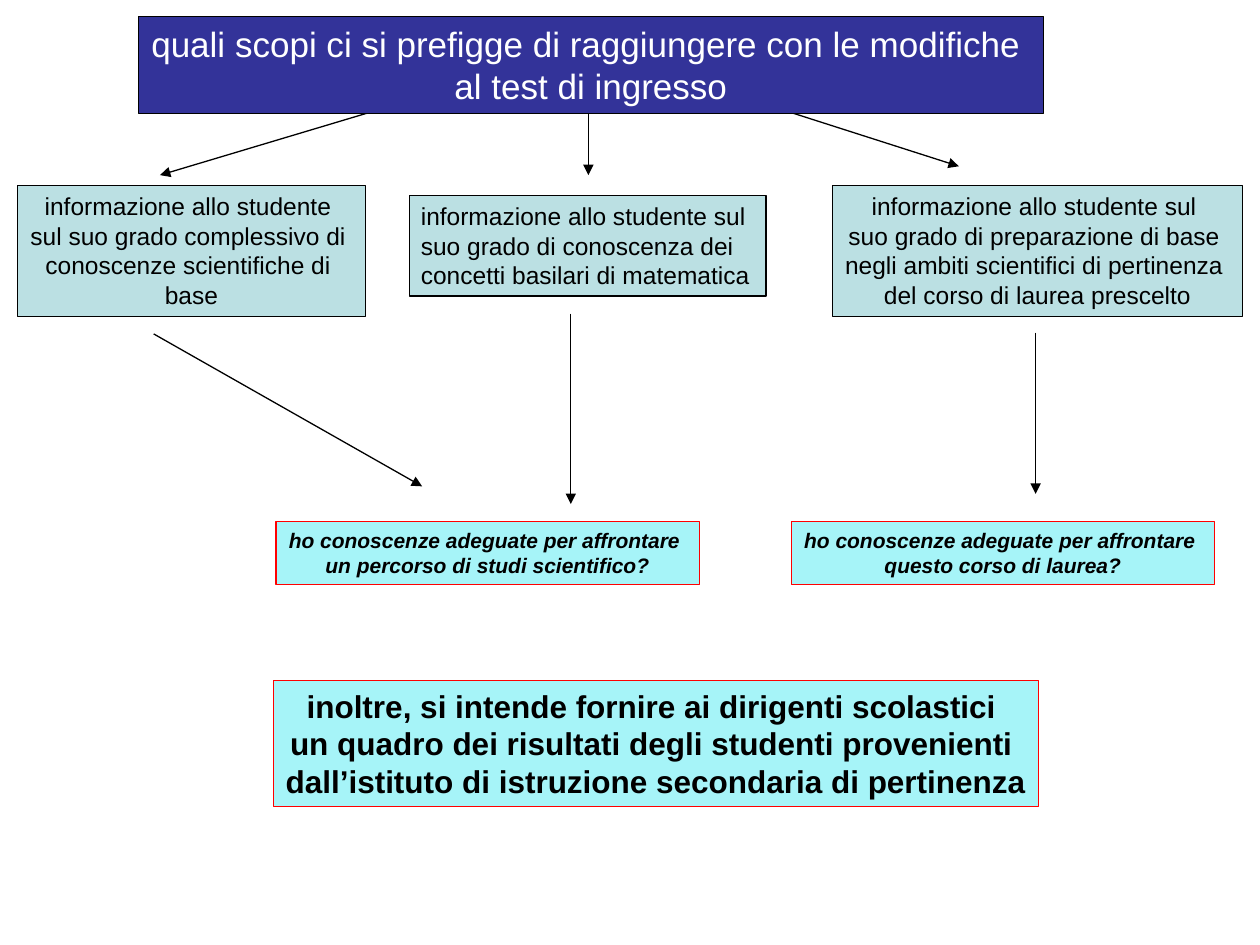
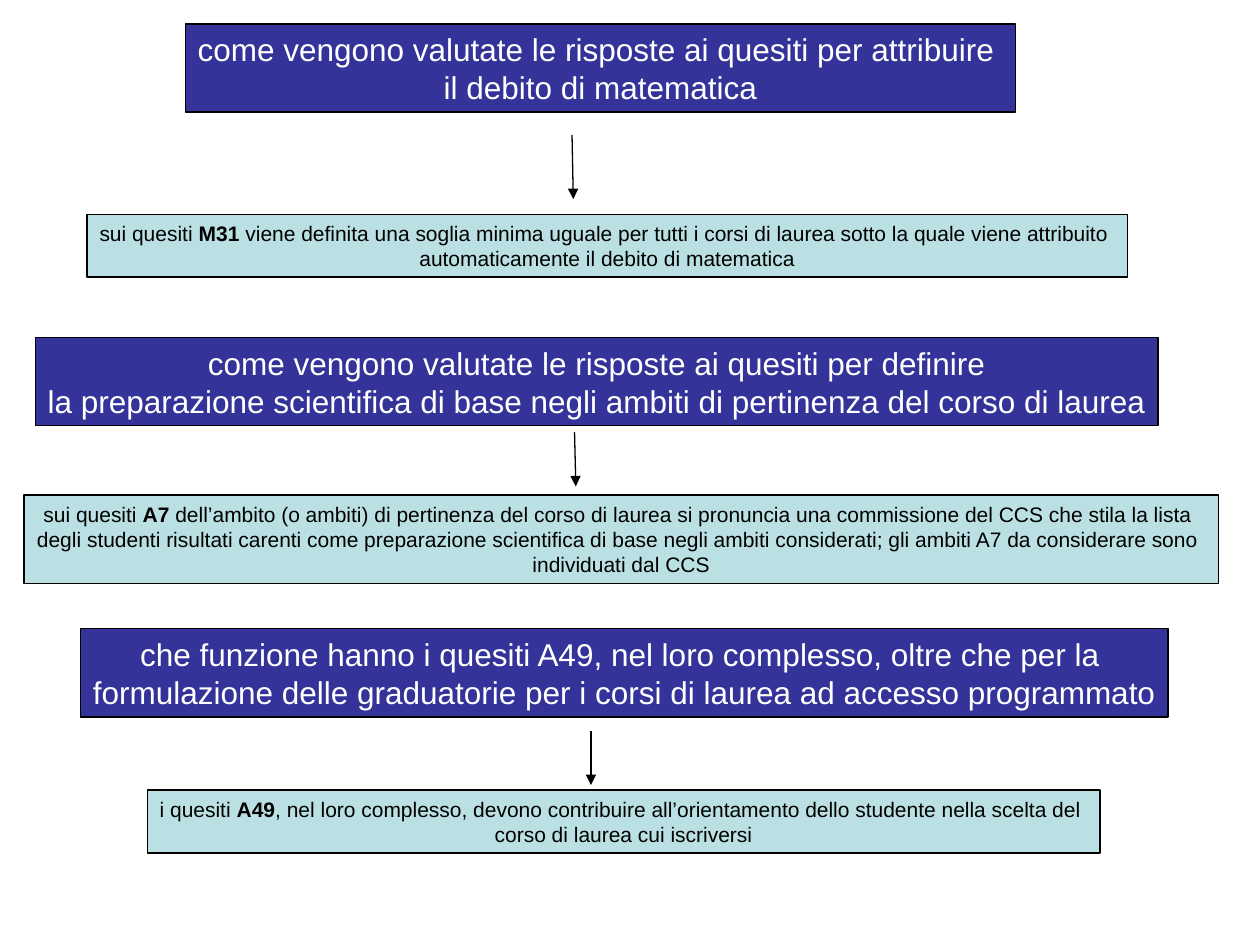
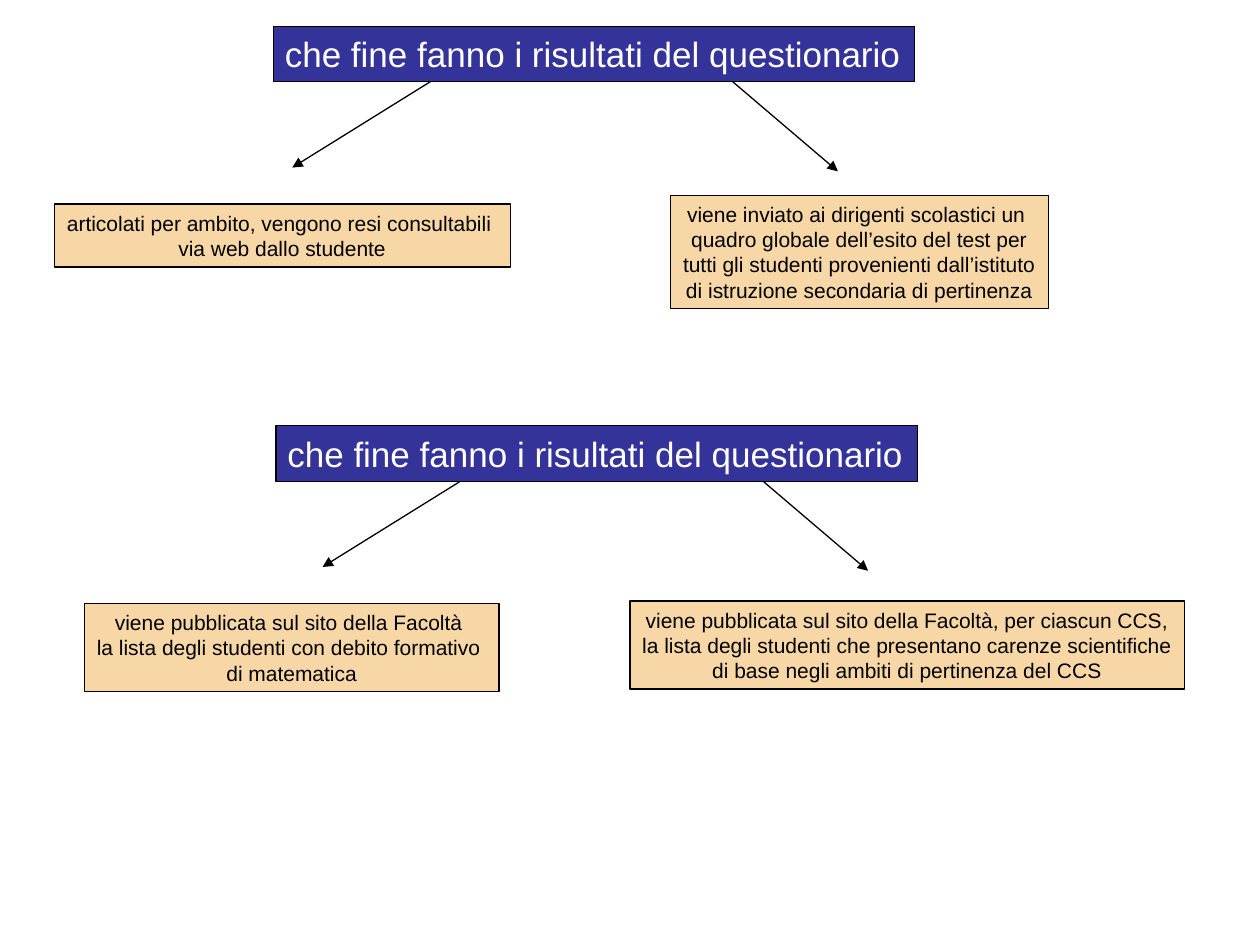
"""Build three slides on the aims, marking and results of an entrance test."""
from lxml.etree import SubElement
from pptx import Presentation
from pptx.dml.color import RGBColor as RGB
from pptx.enum.shapes import MSO_CONNECTOR as Conn
from pptx.enum.text import MSO_ANCHOR as Anchor, MSO_AUTO_SIZE as Fit, PP_ALIGN as Align
from pptx.oxml.ns import qn
from pptx.util import Inches, Pt

HUES = {
    "navy": "333399", "teal": "BBE0E3", "cyan": "A6F4F8", "sand": "F8D7A6",
    "red": "FF0000", "black": "000000", "white": "FFFFFF",
}
HEAD = dict(fill="navy", color="white", size=18)
INFO = dict(fill="teal", size=14)
RULE = dict(fill="teal", size=12)
ASK = dict(fill="cyan", line="red", size=12, bold=True, ital=True)
FATE = dict(fill="sand", size=12)


def box(text, at, fill, size, color="black", line="black", bold=False, ital=False,
        align=Align.CENTER, title=False):
    left, top, width, height = map(Inches, at)
    if title:
        shape = slide.shapes.title
        shape.left, shape.top, shape.width, shape.height = left, top, width, height
        shape.element.getparent().append(shape.element)
    else:
        shape = slide.shapes.add_textbox(left, top, width, height)
    shape.fill.solid()
    shape.fill.fore_color.rgb = RGB.from_string(HUES[fill])
    shape.line.color.rgb = RGB.from_string(HUES[line])
    shape.line.width = Pt(0.75)
    frame = shape.text_frame
    frame.word_wrap = True
    frame.auto_size = Fit.NONE
    frame.vertical_anchor = Anchor.TOP
    frame.margin_left = frame.margin_right = Inches(0.09)
    frame.margin_top = frame.margin_bottom = Inches(0.05)
    for row, words in enumerate(text.split("\n")):
        para = frame.add_paragraph() if row else frame.paragraphs[0]
        para.alignment = align
        for turn, part in enumerate(words.split("*")):
            run = para.add_run()
            run.text = part
            font = run.font
            font.name, font.size = "Arial", Pt(size)
            font.bold, font.italic = bold or turn % 2 == 1, ital
            font.color.rgb = RGB.from_string(HUES[color])


def arrow(*ends):
    link = slide.shapes.add_connector(Conn.STRAIGHT, *map(Inches, ends))
    link.line.color.rgb = RGB.from_string(HUES["black"])
    link.line.width = Pt(0.75)
    SubElement(link.line._get_or_add_ln(), qn("a:tailEnd"), type="triangle")
    SubElement(link.element.spPr, qn("a:effectLst"))


deck = Presentation()
deck.slide_width, deck.slide_height = Inches(10), Inches(7.5)
plain = deck.slide_layouts.get_by_name("Title Only")

slide = deck.slides.add_slide(plain)
for ends in [
    (3.61, 0.69, 1.27, 1.39), (4.67, 0.68, 4.67, 1.39), (5.58, 0.67, 7.61, 1.32),
    (1.22, 2.65, 3.35, 3.86), (4.53, 2.49, 4.53, 4), (8.22, 2.64, 8.22, 3.92),
]:
    arrow(*ends)
box("quali scopi ci si prefigge di raggiungere con le modifiche \nal test di ingresso",
    (1.1, 0.13, 7.18, 0.77), **HEAD | dict(size=20, title=True))
box("informazione allo studente \nsul suo grado complessivo di \n"
    "conoscenze scientifiche di \nbase", (0.14, 1.47, 2.76, 1.04), **INFO)
box("informazione allo studente sul\nsuo grado di conoscenza dei\n"
    "concetti basilari di matematica", (3.25, 1.55, 2.83, 0.8), align=Align.LEFT, **INFO)
box("informazione allo studente sul \nsuo grado di preparazione di base \n"
    "negli ambiti scientifici di pertinenza \ndel corso di laurea prescelto",
    (6.61, 1.47, 3.25, 1.04), **INFO)
for left, goal in [(2.19, "un percorso di studi scientifico?"), (6.28, "questo corso di laurea?")]:
    box("ho conoscenze adeguate per affrontare \n" + goal, (left, 4.14, 3.36, 0.5), **ASK)
box("inoltre, si intende fornire ai dirigenti scolastici \n"
    "un quadro dei risultati degli studenti provenienti \n"
    "dall’istituto di istruzione secondaria di pertinenza",
    (2.17, 5.4, 6.07, 1), **ASK | dict(size=18, ital=False))

slide = deck.slides.add_slide(plain)
for ends in [(4.54, 1.07, 4.55, 1.58), (4.56, 3.43, 4.57, 3.86), (4.69, 5.8, 4.69, 6.23)]:
    arrow(*ends)
box("come vengono valutate le risposte ai quesiti per attribuire \nil debito di matematica",
    (1.47, 0.19, 6.59, 0.7), title=True, **HEAD)
box("sui quesiti* M31 *viene definita una soglia minima uguale per tutti i corsi di laurea "
    "sotto la quale viene attribuito \nautomaticamente il debito di matematica",
    (0.69, 1.7, 8.26, 0.5), **RULE)
box("come vengono valutate le risposte ai quesiti per definire\n"
    "la preparazione scientifica di base negli ambiti di pertinenza del corso di laurea",
    (0.28, 2.68, 8.91, 0.7), **HEAD)
box("sui quesiti *A7* dell’ambito (o ambiti) di pertinenza del corso di laurea si pronuncia "
    "una commissione del CCS che stila la lista \n"
    "degli studenti risultati carenti come preparazione scientifica di base negli ambiti "
    "considerati; gli ambiti A7 da considerare sono \nindividuati dal CCS",
    (0.19, 3.93, 9.48, 0.7), **RULE)
box("che funzione hanno i quesiti A49, nel loro complesso, oltre che per la \n"
    "formulazione delle graduatorie per i corsi di laurea ad accesso programmato",
    (0.64, 4.99, 8.63, 0.7), **HEAD)
box("i quesiti *A49*, nel loro complesso, devono contribuire all’orientamento dello studente "
    "nella scelta del \ncorso di laurea cui iscriversi", (1.17, 6.27, 7.56, 0.5), **RULE)

slide = deck.slides.add_slide(plain)
for right, down in [(0, 0), (0.24, 3.17)]:
    arrow(3.51 + right, 0.59 + down, 2.32 + right, 1.33 + down)
    arrow(5.77 + right, 0.61 + down, 6.65 + right, 1.36 + down)
for left, top in [(2.17, 0.21), (2.19, 3.38)]:
    box("che fine fanno i risultati del questionario", (left, top, 5.09, 0.44),
        **HEAD | dict(size=20, align=Align.LEFT, title=top < 1))
box("articolati per ambito, vengono resi consultabili \nvia web dallo studente",
    (0.43, 1.62, 3.62, 0.5), **FATE)
box("viene inviato ai dirigenti scolastici un \nquadro globale dell’esito del test per\n"
    "tutti gli studenti provenienti dall’istituto\ndi istruzione secondaria di pertinenza",
    (5.32, 1.55, 3, 0.9), **FATE)
box("viene pubblicata sul sito della Facoltà \nla lista degli studenti con debito formativo \n"
    "di matematica", (0.67, 4.79, 3.29, 0.7), **FATE)
box("viene pubblicata sul sito della Facoltà, per ciascun CCS,\n"
    "la lista degli studenti che presentano carenze scientifiche\n"
    "di base negli ambiti di pertinenza del CCS", (5, 4.77, 4.4, 0.7), **FATE)

deck.save("out.pptx")
